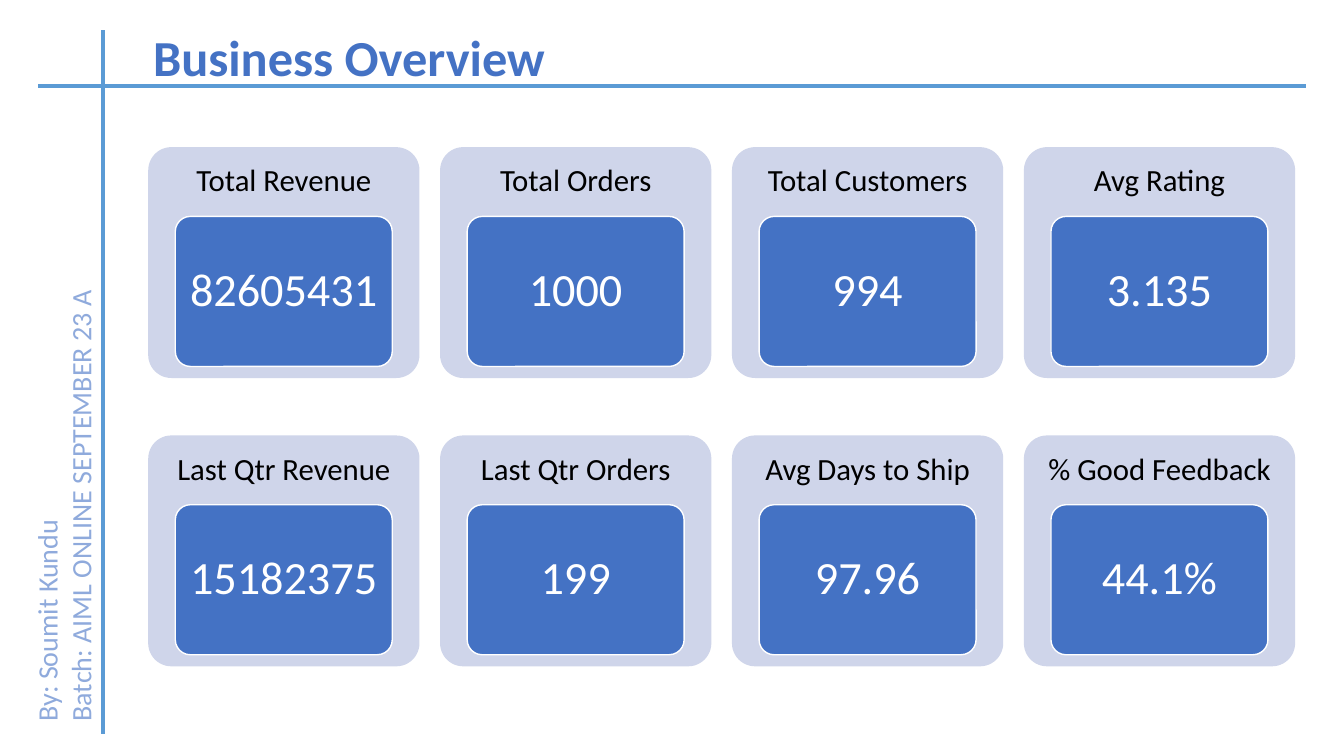
from dataclasses import dataclass

from lxml import etree
from pptx import Presentation
from pptx.dml.color import RGBColor
from pptx.enum.shapes import MSO_CONNECTOR, MSO_SHAPE
from pptx.enum.text import MSO_ANCHOR, MSO_AUTO_SIZE, PP_ALIGN
from pptx.oxml.ns import qn
from pptx.util import Inches, Pt

ROUNDED = MSO_SHAPE.ROUNDED_RECTANGLE
STRAIGHT = MSO_CONNECTOR.STRAIGHT
TOP, MIDDLE = MSO_ANCHOR.TOP, MSO_ANCHOR.MIDDLE
LEFT, CENTER = PP_ALIGN.LEFT, PP_ALIGN.CENTER
GROW = MSO_AUTO_SIZE.SHAPE_TO_FIT_TEXT


@dataclass(frozen=True)
class Theme:
    font: str = "Calibri"
    accent: str = "4472C4"
    panel: str = "CFD5EA"
    rule: str = "5B9BD5"
    credit: str = "8FAADC"
    dark: str = "000000"
    light: str = "FFFFFF"
    title_size: int = 36
    value_size: int = 33
    label_size: int = 22
    credit_size: int = 20
    rule_width: int = 3


THEME = Theme()

# Card grid, in inches
GRID_LEFT, GRID_TOP = 1.47, 1.46
COLUMN_STEP, ROW_STEP = 2.895, 2.86
CARD_WIDTH, CARD_HEIGHT = 2.69, 2.29
LABEL_HEIGHT = 0.3 * CARD_HEIGHT
TILE_WIDTH, TILE_HEIGHT = 0.8 * CARD_WIDTH, 0.65 * CARD_HEIGHT

CARD_ROWS = [
    [("Total Revenue", "82605431"), ("Total Orders", "1000"),
     ("Total Customers", "994"), ("Avg Rating", "3.135")],
    [("Last Qtr Revenue", "15182375"), ("Last Qtr Orders", "199"),
     ("Avg Days to Ship", "97.96"), ("% Good Feedback", "44.1%")],
]


def colour(code):
    return RGBColor.from_string(code)


def inches(*lengths):
    return [Inches(length) for length in lengths]


def write(box, lines, size, code, align=LEFT, anchor=MIDDLE, spacing=0.9,
          bold=False, inset=(0.1, 0.05)):
    frame = box.text_frame
    frame.word_wrap = True
    frame.vertical_anchor = anchor
    frame.margin_left = frame.margin_right = Inches(inset[0])
    frame.margin_top = frame.margin_bottom = Inches(inset[1])
    frame.text = "\n".join(lines)
    for para in frame.paragraphs:
        para.alignment = align
        para.line_spacing = spacing
        para.font.name = THEME.font
        para.font.size = Pt(size)
        para.font.bold = bold
        para.font.color.rgb = colour(code)


def add_rounded(shapes, place, fill, outline=None):
    box = shapes.add_shape(ROUNDED, *inches(*place))
    box.adjustments[0] = 0.1
    box.shadow.inherit = False
    box.fill.solid()
    box.fill.fore_color.rgb = colour(fill)
    if outline:
        box.line.color.rgb = colour(outline)
        box.line.width = Pt(1)
    else:
        box.line.fill.background()
    return box


def add_card(shapes, left, top, label, value):
    add_rounded(shapes, (left, top, CARD_WIDTH, CARD_HEIGHT), THEME.panel)
    heading = shapes.add_textbox(*inches(left, top, CARD_WIDTH, LABEL_HEIGHT))
    write(heading, [label], THEME.label_size, THEME.dark, CENTER,
          inset=(0.09, 0.09))
    tile_left = left + (CARD_WIDTH - TILE_WIDTH) / 2
    tile = add_rounded(shapes,
                       (tile_left, top + LABEL_HEIGHT, TILE_WIDTH, TILE_HEIGHT),
                       THEME.accent, THEME.light)
    write(tile, [value], THEME.value_size, THEME.light, CENTER,
          inset=(0.09, 0.07))


def add_rule(page, start, end):
    rule = page.shapes.add_connector(STRAIGHT, *inches(*start, *end))
    rule.line.color.rgb = colour(THEME.rule)
    rule.line.width = Pt(THEME.rule_width)
    properties = rule._element.find(qn("p:spPr"))
    etree.SubElement(properties, qn("a:effectLst"))


def main():
    deck = Presentation()
    deck.slide_width, deck.slide_height = inches(13.33, 7.5)
    page = deck.slides.add_slide(deck.slide_layouts[6])

    # Title
    title = page.shapes.add_textbox(*inches(1.42, 0.17, 11.5, 0.86))
    write(title, ["Business Overview"], THEME.title_size, THEME.accent,
          bold=True)

    # One group of cards per row
    for row, cards in enumerate(CARD_ROWS):
        group = page.shapes.add_group_shape()
        for column, (label, value) in enumerate(cards):
            add_card(group.shapes, GRID_LEFT + column * COLUMN_STEP,
                     GRID_TOP + row * ROW_STEP, label, value)

    # Sideways credit
    credit = page.shapes.add_textbox(*inches(-1.71, 4.53, 4.68, 0.77))
    credit.rotation = 270
    write(credit, ["By: Soumit Kundu", "Batch: AIML ONLINE SEPTEMBER 23 A"],
          THEME.credit_size, THEME.credit, anchor=TOP, spacing=1.0)
    credit.text_frame.auto_size = GROW

    # Crossing rules
    add_rule(page, (0.38, 0.85), (12.95, 0.85))
    add_rule(page, (1.02, 7.28), (1.02, 0.3))

    deck.save("out.pptx")


if __name__ == "__main__":
    main()
